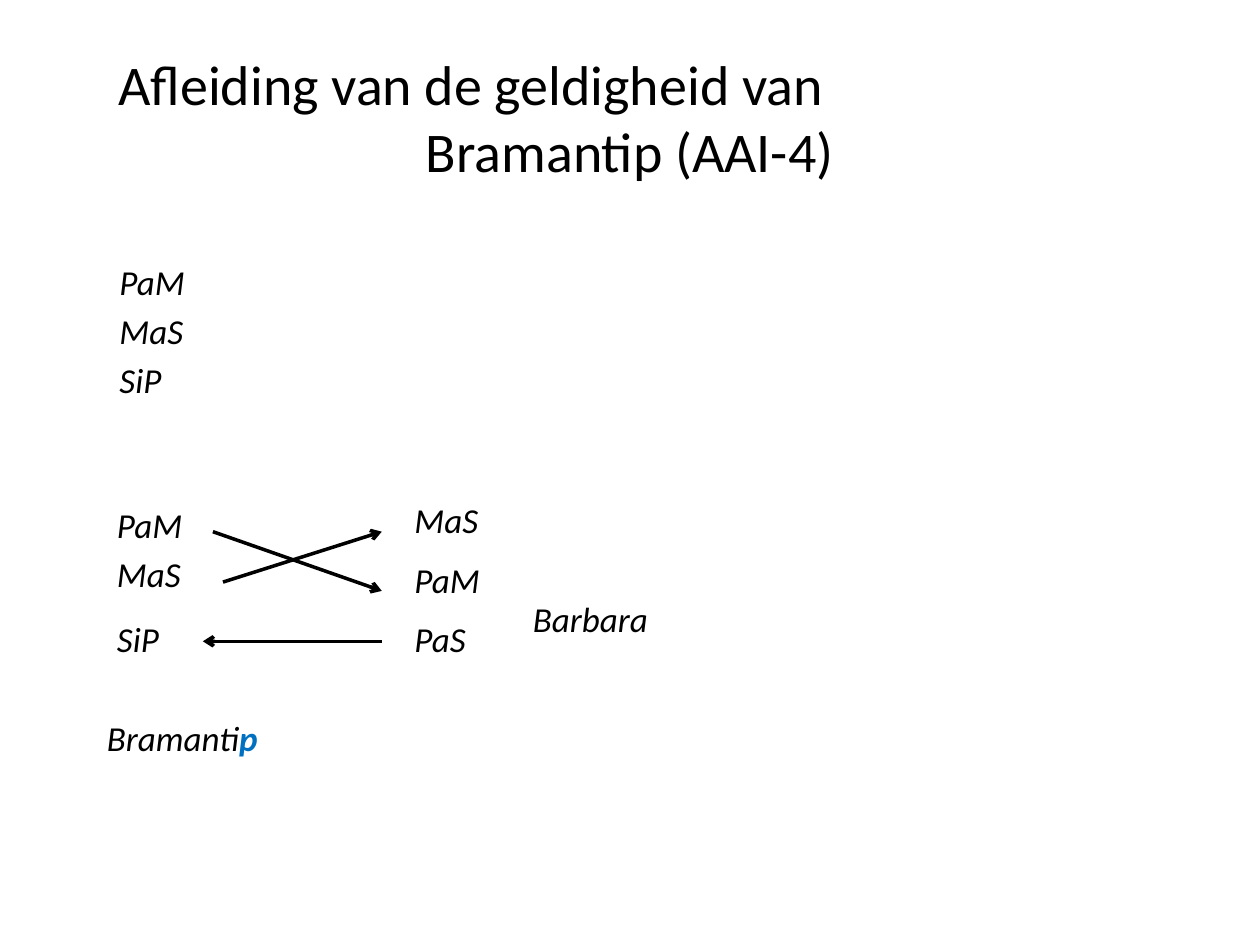
from dataclasses import dataclass

import pptx
import pptx.dml.color
import pptx.enum.shapes
import pptx.enum.text
import pptx.oxml
import pptx.oxml.ns
import pptx.util

Inches, Pt = pptx.util.Inches, pptx.util.Pt
Align = pptx.enum.text.PP_ALIGN
COLORS = {"ink": "000000", "accent": "0070C0"}
FONT = "Calibri"
LEFT, RIGHT = 0.83, 3.19  # columns of the derivation


@dataclass
class Note:
    left: float
    top: float
    width: float
    height: float
    lines: list[str]
    tail: str = ""  # bold accented ending of the last line


@dataclass
class Arrow:
    start: tuple[float, float]
    end: tuple[float, float]


NOTES = [
    Note(0.85, 2.02, 1.86, 1.29, ["PaM", "MaS", "SiP"]),
    Note(LEFT, 3.95, 0.87, 0.82, ["PaM", "MaS"]),
    Note(LEFT, 4.85, 0.87, 0.47, ["SiP"]),
    Note(RIGHT, 3.91, 0.87, 0.42, ["MaS"]),
    Note(RIGHT, 4.38, 0.87, 0.47, ["PaM"]),
    Note(RIGHT, 4.85, 0.87, 0.47, ["PaS"]),
    Note(4.13, 4.69, 2.05, 0.55, ["Barbara"]),
    Note(0.75, 5.64, 2.05, 0.55, ["Bramanti"], "p"),
]
ARROWS = [
    Arrow((1.77, 4.62), (3.03, 4.22)),
    Arrow((1.69, 4.22), (3.03, 4.69)),
    Arrow((3.03, 5.09), (1.61, 5.09)),
]


def color(name: str) -> pptx.dml.color.RGBColor:
    return pptx.dml.color.RGBColor.from_string(COLORS[name])


def add_frame(slide, left: float, top: float, width: float, height: float):
    box = slide.shapes.add_textbox(
        Inches(left), Inches(top), Inches(width), Inches(height))
    box.text_frame.word_wrap = True
    return box.text_frame


def add_lines(frame, lines: list[str], size: int) -> list:
    """Fill the frame with one paragraph a line and return the paragraphs."""
    frame.text = "\n".join(lines)
    for para in frame.paragraphs:
        para.font.name = FONT
        para.font.size = Pt(size)
        para.font.color.rgb = color("ink")
    return list(frame.paragraphs)


def add_title(slide) -> None:
    frame = add_frame(slide, 0.5, 0.3, 9, 1.25)
    frame.vertical_anchor = pptx.enum.text.MSO_ANCHOR.MIDDLE
    first, last = add_lines(
        frame, ["Afleiding van de geldigheid van", "Bramantip (AAI-4)"], 32)
    first.alignment = Align.LEFT
    first._p.get_or_add_pPr().set("marL", str(Inches(0.34)))
    last.alignment = Align.CENTER


def add_note(slide, note: Note) -> None:
    frame = add_frame(slide, note.left, note.top, note.width, note.height)
    paras = add_lines(frame, note.lines, 20)
    for para in paras:
        para.font.italic = True
        para.space_before = Pt(4)
    if note.tail:
        run = paras[-1].add_run()
        run.text = note.tail
        run.font.bold = True
        run.font.color.rgb = color("accent")


def add_arrow(slide, arrow: Arrow) -> None:
    line = slide.shapes.add_connector(
        pptx.enum.shapes.MSO_CONNECTOR.STRAIGHT,
        *map(Inches, arrow.start + arrow.end))
    line.line.color.rgb = color("ink")
    line.line.width = Pt(2)
    space = pptx.oxml.ns.nsdecls("a")
    line.line._get_or_add_ln().append(
        pptx.oxml.parse_xml(f'<a:tailEnd {space} type="arrow"/>'))
    line._element.spPr.append(pptx.oxml.parse_xml(f"<a:effectLst {space}/>"))


def main() -> None:
    deck = pptx.Presentation()
    deck.slide_width, deck.slide_height = Inches(10), Inches(7.5)
    slide = deck.slides.add_slide(deck.slide_layouts[6])
    add_title(slide)
    for note in NOTES:
        add_note(slide, note)
    for arrow in ARROWS:
        add_arrow(slide, arrow)
    deck.save("out.pptx")


if __name__ == "__main__":
    main()
